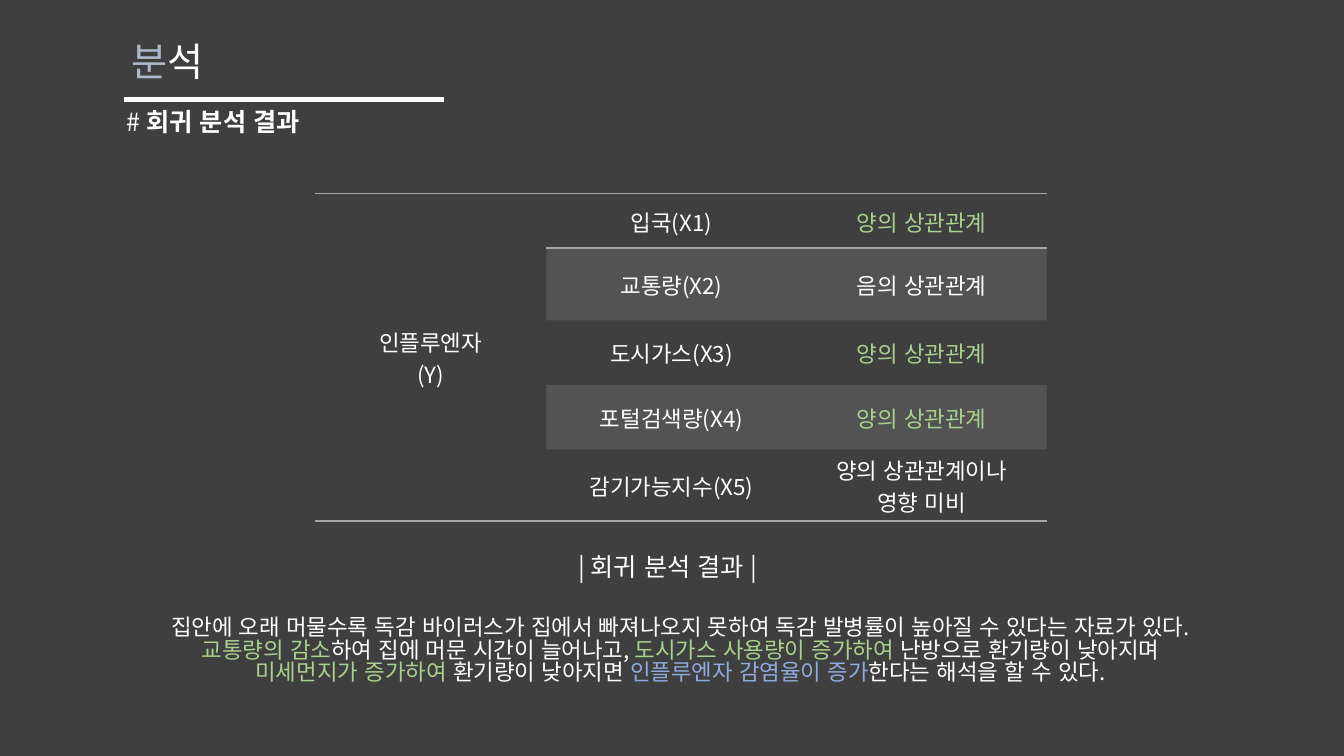
"""Builds the regression-result slide with its summary table."""
from dataclasses import dataclass
from typing import Optional

from lxml import etree
from pptx import Presentation
from pptx import util as u
from pptx.dml.color import RGBColor
from pptx.enum import lang, shapes, text
from pptx.oxml.ns import qn

PX = 9144
FONT = "Noto Sans CJK KR"
COLORS = {
    "bg": "3F3F3F", "white": "FFFFFF", "slate": "ADB9CA",
    "green": "A9D18E", "blue": "8FAADC", "gray": "A5A5A5",
}
NO_STYLE = "{2D5ABB26-0587-4C30-8999-92F81FD0307C}"
CENTER = text.PP_ALIGN.CENTER


@dataclass
class Span:
    text: str
    color: str = "white"
    bold: Optional[bool] = None


@dataclass
class Block:
    box: tuple[int, int, int, int]
    size: int
    align: text.PP_ALIGN
    paragraphs: list[list[Span]]


@dataclass
class Factor:
    name: str
    result: list[str]
    color: str
    height: int
    edges: tuple[str, ...] = ()
    shaded: bool = False


TITLE = Block((120, 38, 383, 57), 28, text.PP_ALIGN.JUSTIFY, [[Span("분", "slate"), Span("석")]])
BLOCKS = [
    Block((116, 104, 583, 40), 18, text.PP_ALIGN.LEFT,
          [[Span("#"), Span(" 회귀 분석 결과", bold=True)]]),
    Block((553, 545, 219, 40), 18, CENTER, [[Span("| 회귀 분석 결과 |")]]),
    Block((143, 606, 1064, 91), 16, CENTER, [
        [Span("집안에 오래 머물수록 독감 바이러스가 집에서 빠져나오지 못하여 "
              "독감 발병률이 높아질 수 있다는 자료가 있다. "),
         Span("교통량의 감소", "green"),
         Span("하여 집에 머문 시간이 늘어나고, "),
         Span("도시가스 사용량이 증가하여 ", "green"),
         Span("난방으로 환기량이 낮아지며")],
        [Span("미세먼지가 증가하여 ", "green"),
         Span("환기량이 낮아지면 "),
         Span("인플루엔자 감염율이 증가", "blue"),
         Span("한다는 해석을 할 수 있다.")],
    ]),
]
OUTCOME = ["인플루엔자", "(Y)"]
FACTORS = [
    Factor("입국(X1)", ["양의 상관관계"], "green", 54, ("lnT", "lnB")),
    Factor("교통량(X2)", ["음의 상관관계"], "white", 72, shaded=True),
    Factor("도시가스(X3)", ["양의 상관관계"], "green", 64),
    Factor("포털검색량(X4)", ["양의 상관관계"], "green", 64, shaded=True),
    Factor("감기가능지수(X5)", ["양의 상관관계이나", "영향 미비"], "white", 71, ("lnB",)),
]
COLUMNS = [230, 248, 248]


def rgb(name: str) -> RGBColor:
    return RGBColor.from_string(COLORS[name])


def write(tf, paragraphs: list[list[Span]], size: int, align, spacing: float) -> None:
    for i, spans in enumerate(paragraphs):
        p = tf.paragraphs[0] if i == 0 else tf.add_paragraph()
        p.alignment = align
        p.line_spacing = spacing
        for span in spans:
            r = p.add_run()
            r.text = span.text
            r.font.size = u.Pt(size)
            r.font.bold = span.bold
            r.font.name = FONT
            r.font.language_id = lang.MSO_LANGUAGE_ID.KOREAN
            r.font.color.rgb = rgb(span.color)
            latin = r.font._element.find(qn("a:latin"))
            latin.addnext(etree.Element(qn("a:ea"), typeface=FONT))


def fill_block(sp, block: Block) -> None:
    sp.left, sp.top, sp.width, sp.height = (v * PX for v in block.box)
    tf = sp.text_frame
    tf.word_wrap = True
    tf.auto_size = text.MSO_AUTO_SIZE.SHAPE_TO_FIT_TEXT
    tf.vertical_anchor = text.MSO_ANCHOR.TOP
    tf.margin_left = tf.margin_right = 10 * PX
    tf.margin_top, tf.margin_bottom = 7 * PX, 3 * PX
    write(tf, block.paragraphs, block.size, block.align, 0.83)


def add_rule(s, x1: int, x2: int, y: int) -> None:
    line = s.shapes.add_connector(shapes.MSO_CONNECTOR.STRAIGHT, x1 * PX, y * PX, x2 * PX, y * PX)
    line.line.color.rgb = rgb("white")
    line.line.width = u.Pt(3.75)
    etree.SubElement(line._element.spPr, qn("a:effectLst"))


def style_cell(cell, lines: list[str], color: str, edges: tuple[str, ...], shaded: bool) -> None:
    cell.vertical_anchor = text.MSO_ANCHOR.MIDDLE
    cell.margin_left = cell.margin_right = cell.margin_top = PX
    cell.margin_bottom = 0
    if lines:
        write(cell.text_frame, [[Span(t, color)] for t in lines], 16, CENTER, 1.0)
    tc_pr = cell._tc.get_or_add_tcPr()
    if shaded:
        cell.fill.solid()
        cell.fill.fore_color.rgb = rgb("gray")
        etree.SubElement(tc_pr.find(".//" + qn("a:srgbClr")), qn("a:alpha"), val="20000")
    else:
        cell.fill.background()
    for i, edge in enumerate(edges):
        ln = etree.Element(qn("a:" + edge), w=str(u.Pt(1)))
        solid = etree.SubElement(ln, qn("a:solidFill"))
        etree.SubElement(solid, qn("a:srgbClr"), val=COLORS["gray"])
        tc_pr.insert(i, ln)


def add_results(s) -> None:
    height = sum(f.height for f in FACTORS)
    frame = s.shapes.add_table(len(FACTORS), len(COLUMNS), 312 * PX, 192 * PX,
                               sum(COLUMNS) * PX, height * PX)
    table = frame.table
    table.first_row = table.horz_banding = False
    table._tbl.tblPr.find(qn("a:tableStyleId")).text = NO_STYLE
    for column, width in zip(table.columns, COLUMNS):
        column.width = width * PX
    table.cell(0, 0).merge(table.cell(len(FACTORS) - 1, 0))
    for i, factor in enumerate(FACTORS):
        table.rows[i].height = factor.height * PX
        outcome = OUTCOME if i == 0 else []
        style_cell(table.cell(i, 0), outcome, "white", factor.edges, False)
        style_cell(table.cell(i, 1), [factor.name], "white", factor.edges, factor.shaded)
        style_cell(table.cell(i, 2), factor.result, factor.color, factor.edges, factor.shaded)


def main() -> None:
    prs = Presentation()
    prs.slide_width, prs.slide_height = 1333 * PX, 750 * PX
    s = prs.slides.add_slide(prs.slide_layouts[5])
    s.background.fill.solid()
    s.background.fill.fore_color.rgb = rgb("bg")
    fill_block(s.shapes.title, TITLE)
    add_rule(s, 123, 440, 99)
    for block in BLOCKS:
        fill_block(s.shapes.add_textbox(0, 0, PX, PX), block)
    add_results(s)
    prs.save("out.pptx")


if __name__ == "__main__":
    main()
